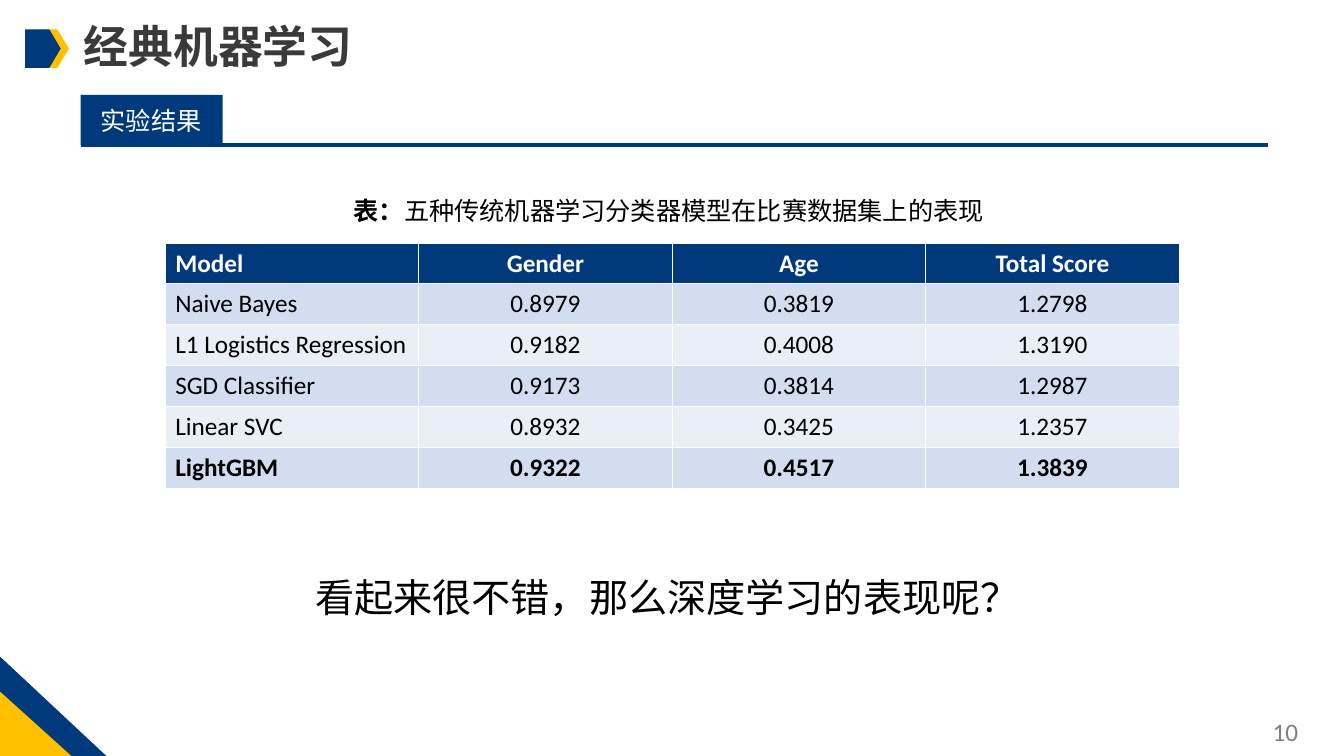
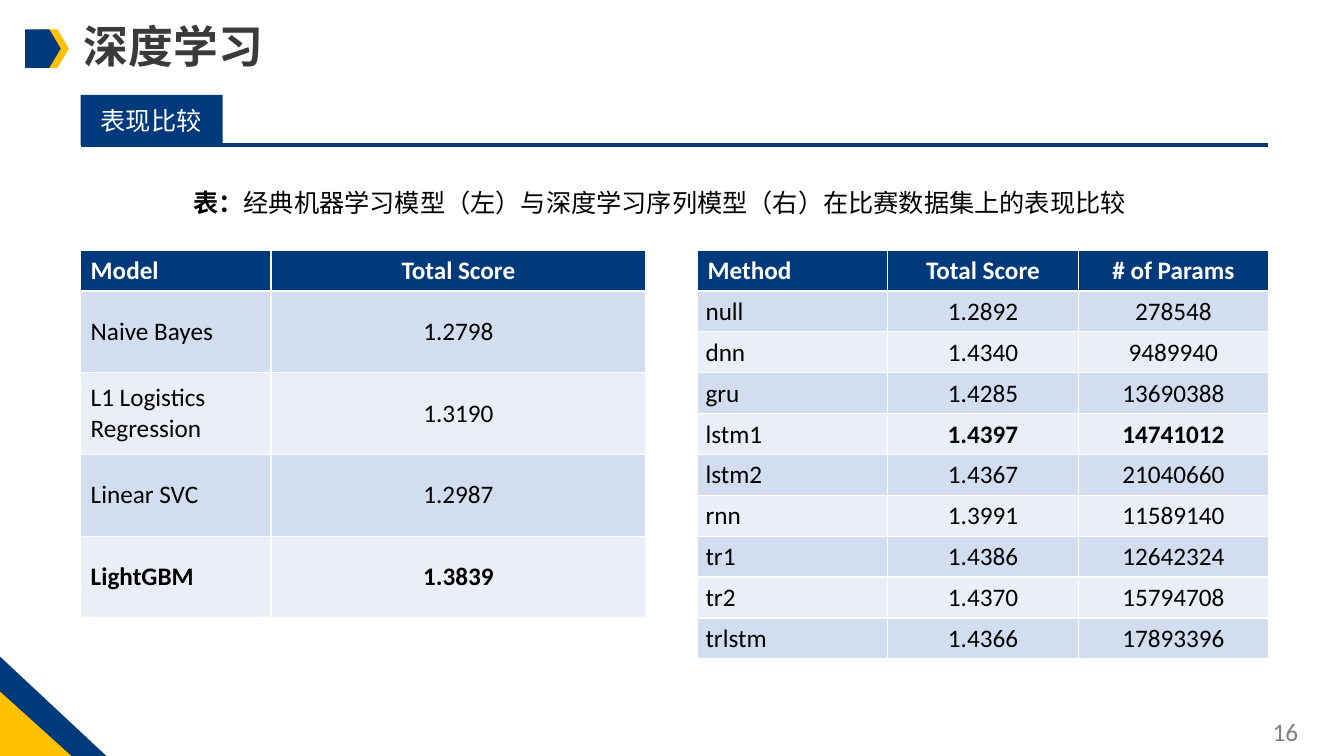
from lxml import etree
from pptx import Presentation
from pptx.dml.color import RGBColor
from pptx.enum import shapes, text
from pptx.oxml import ns
from pptx.util import Pt

HUES = {
    "navy": "00397C", "gold": "FFC000", "title": "3A3A3A", "gray": "808080",
    "white": "FFFFFF", "black": "000000", "dark": "D2DEEF", "light": "EAEFF7",
}
CJK, LATIN = "Noto Sans CJK SC", "Calibri"
ROW = 29.2


def style(para, size, hue, face=CJK, bold=None):
    font = para.font
    font.size, font.name, font.bold = Pt(size), face, bold
    font.color.rgb = RGBColor.from_string(HUES[hue])
    for latin in para._p.iter(ns.qn("a:latin")):
        east = etree.Element(ns.qn("a:ea"), typeface=face)
        latin.addnext(east)


def paint(shape, hue):
    shape.shadow.inherit = False
    shape.fill.solid()
    shape.fill.fore_color.rgb = RGBColor.from_string(HUES[hue])
    shape.line.fill.background()


pages = [
    {
        "title": "经典机器学习", "tag": "实验结果", "num": "10",
        "texts": [
            (245.5, 136, 469, 18, "表：", "五种传统机器学习分类器模型在比赛数据集上的表现"),
            (218, 406, 524, 28, "", "看起来很不错，那么深度学习的表现呢？"),
        ],
        "tables": [{
            "left": 118, "top": 173.5, "cols": [181.1] * 4, "high": ROW,
            "bold": {"LightGBM", "0.9322", "0.4517", "1.3839"},
            "rows": [
                ["Model", "Gender", "Age", "Total Score"],
                ["Naive Bayes", "0.8979", "0.3819", "1.2798"],
                ["L1 Logistics Regression", "0.9182", "0.4008", "1.3190"],
                ["SGD Classifier", "0.9173", "0.3814", "1.2987"],
                ["Linear SVC", "0.8932", "0.3425", "1.2357"],
                ["LightGBM", "0.9322", "0.4517", "1.3839"],
            ],
        }],
    },
    {
        "title": "深度学习", "tag": "表现比较", "num": "16",
        "texts": [
            (131, 130.3, 701, 18, "表：",
             "经典机器学习模型（左）与深度学习序列模型（右）在比赛数据集上的表现比较"),
        ],
        "tables": [
            {
                "left": 57.6, "top": 178.6, "cols": [136, 267.8], "high": 2 * ROW,
                "bold": {"LightGBM", "1.3839"},
                "rows": [
                    ["Model", "Total Score"],
                    ["Naive Bayes", "1.2798"],
                    ["L1 Logistics Regression", "1.3190"],
                    ["Linear SVC", "1.2987"],
                    ["LightGBM", "1.3839"],
                ],
            },
            {
                "left": 498.2, "top": 178.6, "cols": [136] * 3, "high": ROW,
                "bold": {"1.4397", "14741012"}, "pad": 0.6,
                "rows": [
                    ["Method", "Total Score", "# of Params"],
                    ["null", "1.2892", "278548"],
                    ["dnn", "1.4340", "9489940"],
                    ["gru", "1.4285", "13690388"],
                    ["lstm1", "1.4397", "14741012"],
                    ["lstm2", "1.4367", "21040660"],
                    ["rnn", "1.3991", "11589140"],
                    ["tr1", "1.4386", "12642324"],
                    ["tr2", "1.4370", "15794708"],
                    ["trlstm", "1.4366", "17893396"],
                ],
            },
        ],
    },
]
arrows = [(23.8, "gold"), (18, "navy")]
wedges = [
    ("navy", [(0, 469.4), (76.5, 540), (24.5, 540), (0, 517)]),
    ("gold", [(0, 494), (51, 540), (0, 540)]),
]

deck = Presentation()
deck.slide_width, deck.slide_height = Pt(960), Pt(540)

for page in pages:
    slide = deck.slides.add_slide(deck.slide_layouts[5])
    items = slide.shapes

    title = items.title
    title.left, title.top, title.width, title.height = Pt(52.6), Pt(9.4), Pt(559), Pt(46)
    title.text = page["title"]
    title.text_frame.vertical_anchor = text.MSO_ANCHOR.TOP
    head = title.text_frame.paragraphs[0]
    head.alignment = text.PP_ALIGN.LEFT
    style(head, 32, "title", bold=True)

    for left, hue in arrows:
        arrow = items.add_shape(shapes.MSO_SHAPE.PENTAGON, Pt(left), Pt(21), Pt(25.4), Pt(27.4))
        arrow.adjustments[0] = 0.32
        paint(arrow, hue)

    for hue, spots in wedges:
        pen = items.build_freeform(*spots[0], scale=Pt(1))
        pen.add_line_segments(spots[1:], close=True)
        paint(pen.convert_to_shape(), hue)

    tag = items.add_shape(shapes.MSO_SHAPE.RECTANGLE, Pt(57.6), Pt(67.8), Pt(101.5), Pt(36))
    paint(tag, "navy")
    frame = tag.text_frame
    frame.text = page["tag"]
    frame.word_wrap = False
    frame.margin_left = frame.margin_right = Pt(14.4)
    frame.margin_top = frame.margin_bottom = Pt(7.2)
    style(frame.paragraphs[0], 18, "white")

    rule = items.add_connector(shapes.MSO_CONNECTOR.STRAIGHT, Pt(57.6), Pt(103.6), Pt(905.8), Pt(103.6))
    rule.line.width = Pt(3)
    rule.line.color.rgb = RGBColor.from_string(HUES["navy"])
    etree.SubElement(rule._element.spPr, ns.qn("a:effectLst"))

    for left, top, width, size, lead, body in page["texts"]:
        box = items.add_textbox(Pt(left), Pt(top), Pt(width), Pt(size * 1.6))
        box.text_frame.word_wrap = True
        para = box.text_frame.paragraphs[0]
        if lead:
            run = para.add_run()
            run.text = lead
            run.font.bold = True
        para.add_run().text = body
        style(para, size, "black")

    for spec in page["tables"]:
        rows, cols = spec["rows"], spec["cols"]
        high = ROW + spec["high"] * (len(rows) - 1)
        grid = items.add_table(len(rows), len(cols), Pt(spec["left"]), Pt(spec["top"]),
                               Pt(sum(cols)), Pt(high)).table
        for col, width in zip(grid.columns, cols):
            col.width = Pt(width)
        for r, row in enumerate(rows):
            grid.rows[r].height = Pt(spec["high"] if r else ROW)
            for c, word in enumerate(row):
                cell = grid.cell(r, c)
                cell.text = word
                cell.fill.solid()
                fill = ("light", "dark")[r % 2] if r else "navy"
                cell.fill.fore_color.rgb = RGBColor.from_string(HUES[fill])
                cell.vertical_anchor = text.MSO_ANCHOR.MIDDLE
                if r and "pad" in spec:
                    pad = Pt(spec["pad"])
                    cell.margin_left = pad if c else Pt(5.8)
                    cell.margin_right = cell.margin_top = pad
                    cell.margin_bottom = 0
                para = cell.text_frame.paragraphs[0]
                para.alignment = text.PP_ALIGN.CENTER if c else text.PP_ALIGN.LEFT
                style(para, 18, "black" if r else "white", LATIN, not r or word in spec["bold"])

    foot = items.add_textbox(Pt(902), Pt(508.3), Pt(50.4), Pt(29))
    foot.text_frame.word_wrap = True
    foot.text_frame.text = page["num"]
    style(foot.text_frame.paragraphs[0], 18, "gray", LATIN)

deck.save("out.pptx")
